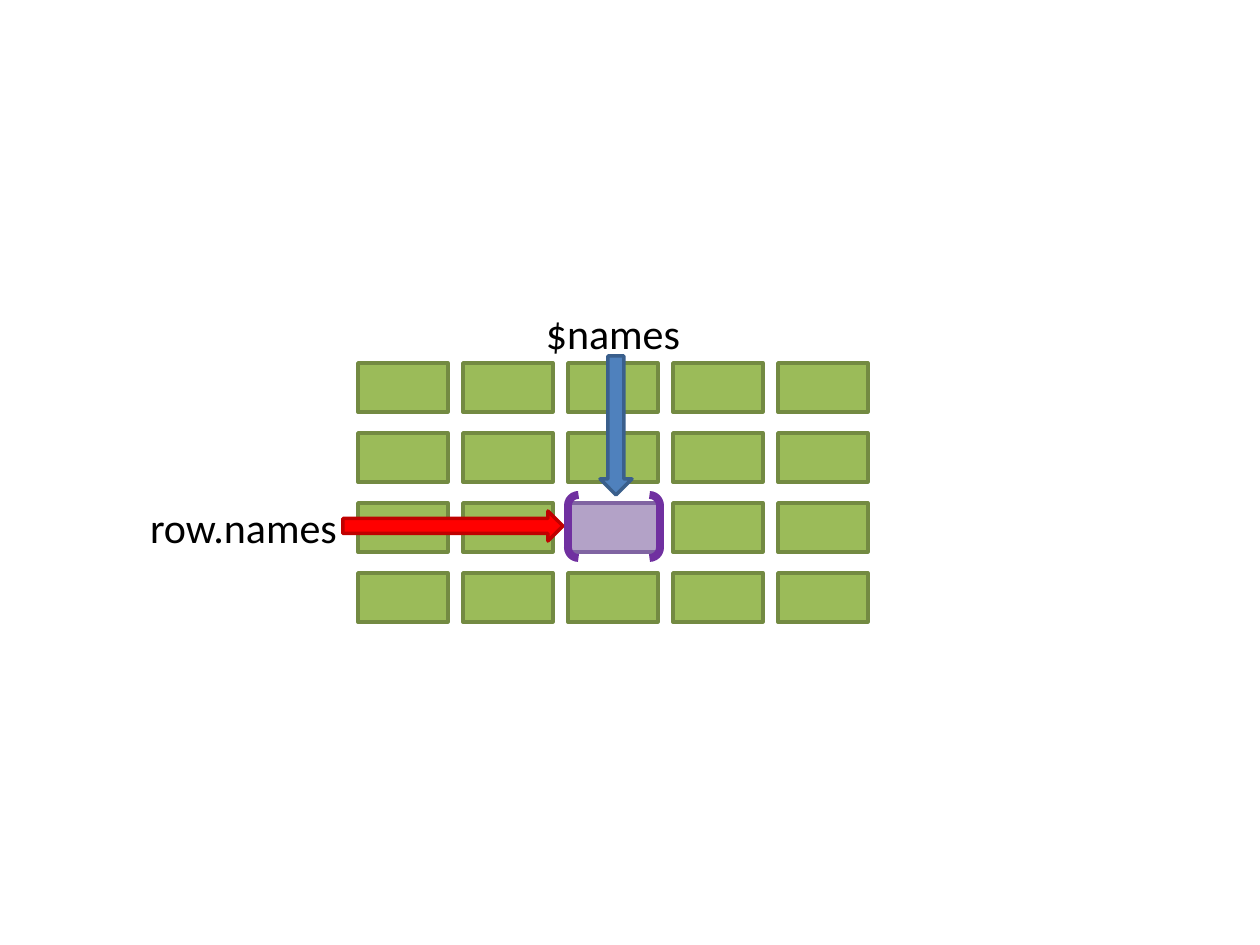
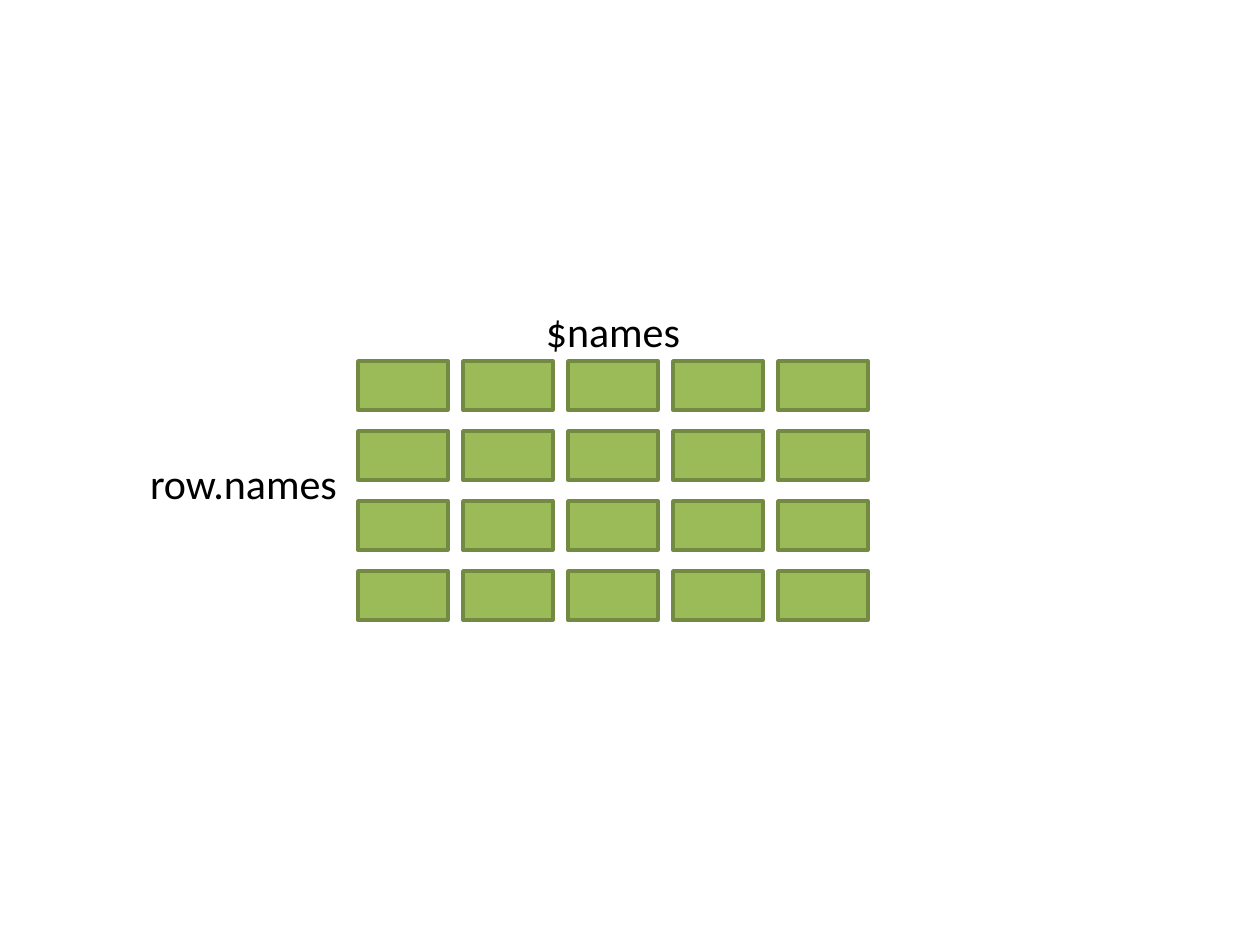
from pptx import Presentation
from pptx.dml.color import RGBColor
from pptx.enum import shapes, text
from pptx import util as u

PX = 914400 / 126
FONT = "Calibri"
BLACK = RGBColor(0x00, 0x00, 0x00)
GREEN, GREEN_EDGE = RGBColor(0x9B, 0xBB, 0x59), RGBColor(0x73, 0x8A, 0x42)
LILAC, LILAC_EDGE = RGBColor(0xB3, 0xA2, 0xC7), RGBColor(0x80, 0x64, 0xA2)
RED, RED_EDGE = RGBColor(0xFF, 0x00, 0x00), RGBColor(0xC0, 0x00, 0x00)
BLUE, BLUE_EDGE = RGBColor(0x4F, 0x81, 0xBD), RGBColor(0x3A, 0x5F, 0x8C)
PURPLE = RGBColor(0x70, 0x30, 0xA0)
KIND = shapes.MSO_SHAPE

ROWS, COLUMNS = 4, 5
GRID_LEFT = 358
CELL_WIDTH, CELL_HEIGHT = 90, 49
COLUMN_STEP, ROW_STEP = 105, 70
LABEL_HEIGHT = 63
SELECTED = (2, 2)


def emu(*lengths):
    """Turn px lengths into EMU."""
    return [u.Emu(round(length * PX)) for length in lengths]


def add_figure(page, kind, bounds, fill, edge, weight=2):
    """Add a preset shape, unfilled when fill is None."""
    figure = page.shapes.add_shape(kind, *emu(*bounds))
    figure.shadow.inherit = False
    if fill is None:
        figure.fill.background()
    else:
        figure.fill.solid()
        figure.fill.fore_color.rgb = fill
    figure.line.color.rgb = edge
    figure.line.width = u.Pt(weight)
    return figure


def add_label(page, wording, left, top, width):
    """Add a centred text label."""
    box = page.shapes.add_textbox(*emu(left, top, width, LABEL_HEIGHT))
    frame = box.text_frame
    frame.word_wrap = True
    frame.auto_size = text.MSO_AUTO_SIZE.SHAPE_TO_FIT_TEXT
    frame.text = wording
    para = frame.paragraphs[0]
    para.alignment = text.PP_ALIGN.CENTER
    font = para.runs[0].font
    font.name, font.size = FONT, u.Pt(24)
    font.color.rgb = BLACK


def add_data_frame(page, grid_top, row_label_top, selected=None):
    """Add the grid of cells with its row and column labels."""
    for column in range(COLUMNS):
        for row in range(ROWS):
            colours = (LILAC, LILAC_EDGE) if (row, column) == selected else (GREEN, GREEN_EDGE)
            bounds = (GRID_LEFT + column * COLUMN_STEP, grid_top + row * ROW_STEP,
                      CELL_WIDTH, CELL_HEIGHT)
            add_figure(page, KIND.RECTANGLE, bounds, *colours)
    add_label(page, "row.names", 134, row_label_top, 219)
    add_label(page, "$names", 513, grid_top - 62, 200)


def add_selection(page):
    """Bracket the selected cell and point at it from both labels."""
    add_figure(page, KIND.DOUBLE_BRACKET, (568, 495, 92, 63), None, PURPLE, 4.5)
    add_figure(page, KIND.RIGHT_ARROW, (343, 511, 220, 30), RED, RED_EDGE)
    add_figure(page, KIND.DOWN_ARROW, (600, 356, 32, 139), BLUE, BLUE_EDGE)


def main():
    """Build both slides and save the deck."""
    deck = Presentation()
    deck.slide_width, deck.slide_height = u.Inches(10), u.Inches(7.5)
    blank = deck.slide_layouts[6]

    selection_page = deck.slides.add_slide(blank)
    add_data_frame(selection_page, 363, 495, SELECTED)
    add_selection(selection_page)

    plain_page = deck.slides.add_slide(blank)
    add_data_frame(plain_page, 361, 451)

    deck.save("out.pptx")


if __name__ == "__main__":
    main()
